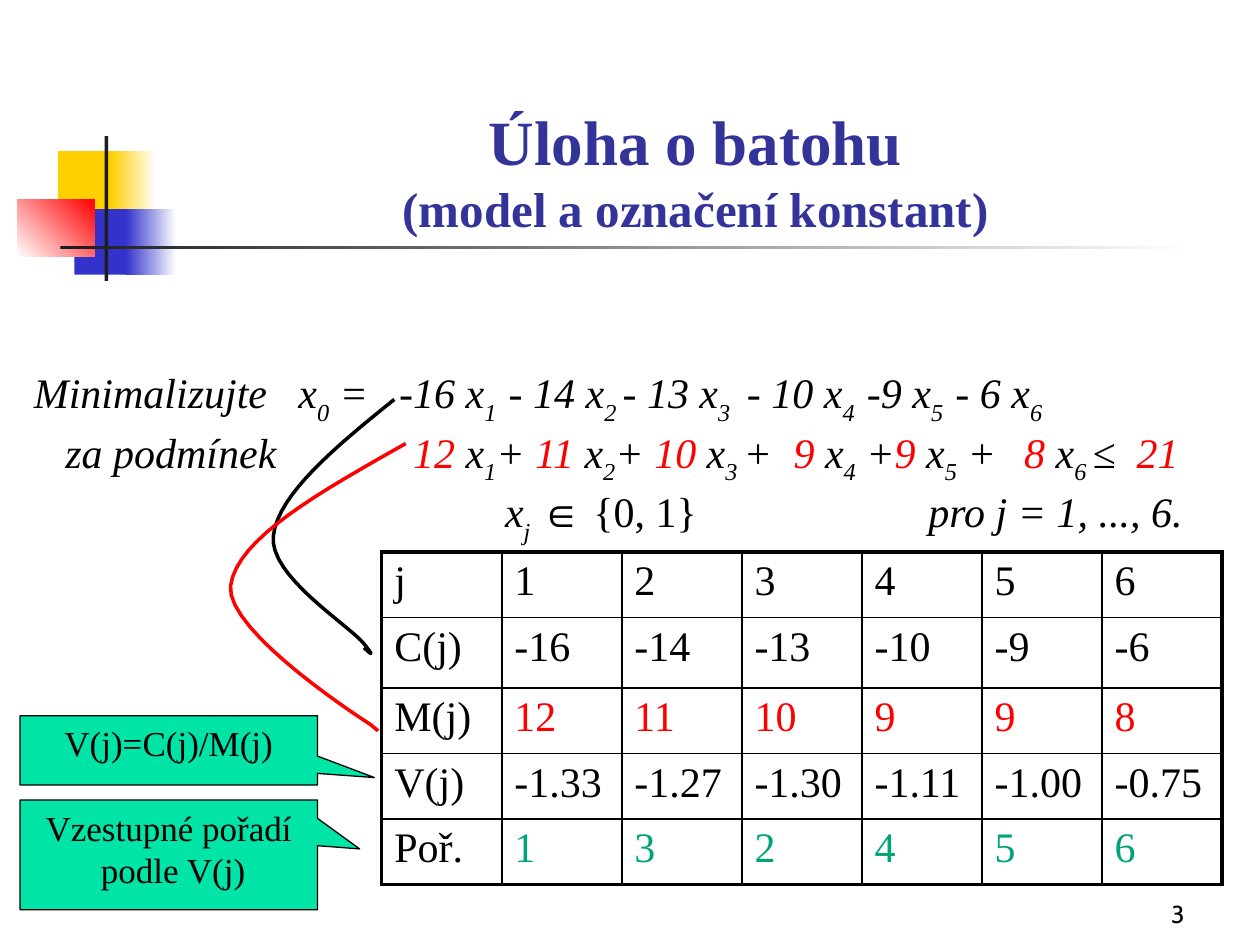
"""Build the knapsack problem slide with its model, constants table and callouts."""
import pptx
import pptx.chart.data
import pptx.dml.color
import pptx.enum.shapes
import pptx.enum.text
import pptx.oxml
import pptx.util
from pptx.util import Inches


def color(value):
    return pptx.dml.color.RGBColor.from_string(value)


def style(run, size, value="000000", name="Times New Roman"):
    run.font.size = pptx.util.Pt(size)
    run.font.name = name
    run.font.color.rgb = color(value)


SHAPES = pptx.enum.shapes.MSO_SHAPE
ALIGN = pptx.enum.text.PP_ALIGN
ANCHOR = pptx.enum.text.MSO_ANCHOR
NAMESPACE = 'xmlns:a="http://schemas.openxmlformats.org/drawingml/2006/main"'
BLACK, RED, GREEN = "000000", "FF0000", "00A479"

presentation = pptx.Presentation()
presentation.slide_width = Inches(10)
presentation.slide_height = Inches(7.5)
slide = presentation.slides.add_slide(presentation.slide_layouts[6])

decorations = [
    ((0.46, 1.2, 0.48, 0.52), ["FFCF01"], 0),
    ((0.88, 1.2, 0.36, 0.52), ["FFCF01", "FFFFFF"], 0),
    ((0.59, 1.66, 0.46, 0.52), ["3333CC"], 0),
    ((1, 1.66, 0.4, 0.52), ["3333CC", "FFFFFF"], 0),
    ((0.14, 1.58, 0.61, 0.46), ["FFFFFF", "FF0000"], 45),
    ((0.83, 1.08, 0.03, 1.15), ["1C1C1C"], 0),
    ((0.48, 1.95, 9, 0.03), ["1C1C1C", "FFFFFF"], 0),
]
for box, fills, angle in decorations:
    shape = slide.shapes.add_shape(SHAPES.RECTANGLE, *map(Inches, box))
    shape.shadow.inherit = False
    shape.line.fill.background()
    if len(fills) == 1:
        shape.fill.solid()
        shape.fill.fore_color.rgb = color(fills[0])
    else:
        shape.fill.gradient()
        shape.fill.gradient_angle = angle
        for stop, value, position in zip(shape.fill.gradient_stops, fills, (0, 1)):
            stop.color.rgb = color(value)
            stop.position = position

number = slide.shapes.add_textbox(Inches(7.42), Inches(6.92), Inches(2.08), Inches(0.5))
number.text_frame.word_wrap = True
number.text_frame.vertical_anchor = ANCHOR.BOTTOM
number.text_frame.text = "3"
number.text_frame.paragraphs[0].alignment = ALIGN.RIGHT
style(number.text_frame.paragraphs[0].runs[0], 14, name="Cabin")

title = slide.shapes.add_textbox(Inches(1.26), Inches(0.68), Inches(8.52), Inches(1.25))
title.text_frame.word_wrap = True
title.text_frame.vertical_anchor = ANCHOR.BOTTOM
paragraph = title.text_frame.paragraphs[0]
paragraph.text = "Úloha o batohu\v(model a označení konstant)"
paragraph.alignment = ALIGN.CENTER
for run, size in zip(paragraph.runs, (36, 28)):
    style(run, size, "333399")
    run.font.bold = True

model = slide.shapes.add_textbox(Inches(0.17), Inches(2.42), Inches(9.67), Inches(1.7))
model.text_frame.word_wrap = True
model.text_frame.margin_top = Inches(0.49)
model_lines = [
    ([2.1, 2.9, 5.66], [
        ("Minimalizujte\tx", ""), ("0", "sub"), (" =\t-16 x", ""), ("1  ", "sub"),
        ("- 14 x", ""), ("2 ", "sub"), ("- 13 x", ""), ("3", "sub"), ("\t- 10 x", ""),
        ("4  ", "sub"), ("-9 x", ""), ("5  ", "sub"), ("- 6 x", ""), ("6", "sub")]),
    ([0.25, 3.01, 6.03, 7.86], [
        ("\tza podmínek\t", ""), ("12 ", "red"), ("x", ""), ("1", "sub"), ("+ ", ""),
        ("11", "red"), (" x", ""), ("2", "sub"), ("+ ", ""), ("10 ", "red"), ("x", ""),
        ("3 ", "sub"), ("+\t", ""), ("9 ", "red"), ("x", ""), ("4", "sub"), (" +", ""),
        ("9", "red"), (" x", ""), ("5", "sub"), (" +\t", ""), ("8 ", "red"), ("x", ""),
        ("6 ", "sub"), ("≤  ", ""), ("21", "red")]),
    ([3.74, 7.1], [
        ("\tx", ""), ("j", "sub"), (" ∈ ", ""), ("{0, 1}", "upright"),
        ("\tpro j = 1, ..., 6.", "")]),
]
for index, (tabs, pieces) in enumerate(model_lines):
    paragraph = model.text_frame.paragraphs[0] if index == 0 else model.text_frame.add_paragraph()
    stops = "".join(f'<a:tab pos="{Inches(tab)}" algn="l"/>' for tab in tabs)
    paragraph._p.get_or_add_pPr().append(
        pptx.oxml.parse_xml(f"<a:tabLst {NAMESPACE}>{stops}</a:tabLst>"))
    for text, kind in pieces:
        run = paragraph.add_run()
        run.text = text
        style(run, 24, RED if kind == "red" else BLACK)
        run.font.italic = kind != "upright"
        if kind == "sub":
            run.font._element.set("baseline", "-30000")

rows = [
    (0.52, BLACK, ["j", "1", "2", "3", "4", "5", "6"]),
    (0.56, BLACK, ["C(j)", "-16", "-14", "-13", "-10", "-9", "-6"]),
    (0.52, RED, ["M(j)", "12", "11", "10", "9", "9", "8"]),
    (0.52, BLACK, ["V(j)", "-1.33", "-1.27", "-1.30", "-1.11", "-1.00", "-0.75"]),
    (0.52, GREEN, ["Poř.", "1", "3", "2", "4", "5", "6"]),
]
table = slide.shapes.add_table(
    5, 7, Inches(3.03), Inches(4.38), Inches(6.67), Inches(2.64)).table
table.first_row = False
table.horz_banding = False
for column in table.columns:
    column.width = Inches(6.67 / 7)
for row_index, (height, value, texts) in enumerate(rows):
    table.rows[row_index].height = Inches(height)
    for column_index, text in enumerate(texts):
        cell = table.cell(row_index, column_index)
        cell.text = text
        style(cell.text_frame.paragraphs[0].runs[0], 24, value if column_index else BLACK)
        outer_edges = {"lnL": column_index == 0, "lnR": column_index == 6,
                       "lnT": row_index == 0, "lnB": row_index == 4}
        for edge, outer in outer_edges.items():
            width = pptx.util.Pt(2.25 if outer else 1)
            cell._tc.get_or_add_tcPr().append(pptx.oxml.parse_xml(
                f'<a:{edge} {NAMESPACE} w="{width}"><a:solidFill>'
                f'<a:srgbClr val="{BLACK}"/></a:solidFill></a:{edge}>'))
        cell.fill.background()

curves = [
    (BLACK, [(3.13, 3.17), (2.67, 3.54), (2.21, 3.92), (2.17, 4.25), (2.13, 4.57),
             (2.77, 4.96), (2.89, 5.11), (3.01, 5.26), (2.89, 5.14), (2.89, 5.14)]),
    (RED, [(3.22, 3.52), (2.55, 3.9), (1.88, 4.27), (1.83, 4.65), (1.79, 5.02),
           (2.94, 5.75), (2.94, 5.75), (2.94, 5.75), (3, 5.8), (3, 5.8)]),
]
for value, controls in curves:
    points = []
    for first in range(0, len(controls) - 1, 3):
        for step in range(1, 17):
            t = step / 16
            weights = ((1 - t) ** 3, 3 * t * (1 - t) ** 2, 3 * t ** 2 * (1 - t), t ** 3)
            points.append(tuple(
                Inches(sum(weight * control[axis] for weight, control
                           in zip(weights, controls[first:first + 4])))
                for axis in (0, 1)))
    builder = slide.shapes.build_freeform(*map(Inches, controls[0]))
    builder.add_line_segments(points, close=False)
    shape = builder.convert_to_shape()
    shape.shadow.inherit = False
    shape.fill.background()
    shape.line.color.rgb = color(value)
    shape.line.width = pptx.util.Pt(2)

callouts = [
    (5.68, 0.55, (0.692, 0.394), "V(j)=C(j)/M(j)"),
    (6.35, 0.87, (0.642, -0.054), "Vzestupné pořadí\n podle V(j)"),
]
for top, height, tip, text in callouts:
    shape = slide.shapes.add_shape(
        SHAPES.RECTANGULAR_CALLOUT, Inches(0.16), Inches(top), Inches(2.36), Inches(height))
    shape.shadow.inherit = False
    shape.adjustments[0], shape.adjustments[1] = tip
    shape.fill.solid()
    shape.fill.fore_color.rgb = color("00E4A8")
    shape.line.color.rgb = color(BLACK)
    shape.line.width = pptx.util.Pt(0.75)
    shape.text_frame.word_wrap = False
    shape.text_frame.vertical_anchor = ANCHOR.TOP
    shape.text_frame.text = text
    for paragraph in shape.text_frame.paragraphs:
        paragraph.alignment = ALIGN.CENTER
        style(paragraph.runs[0], 20)

presentation.save("out.pptx")
